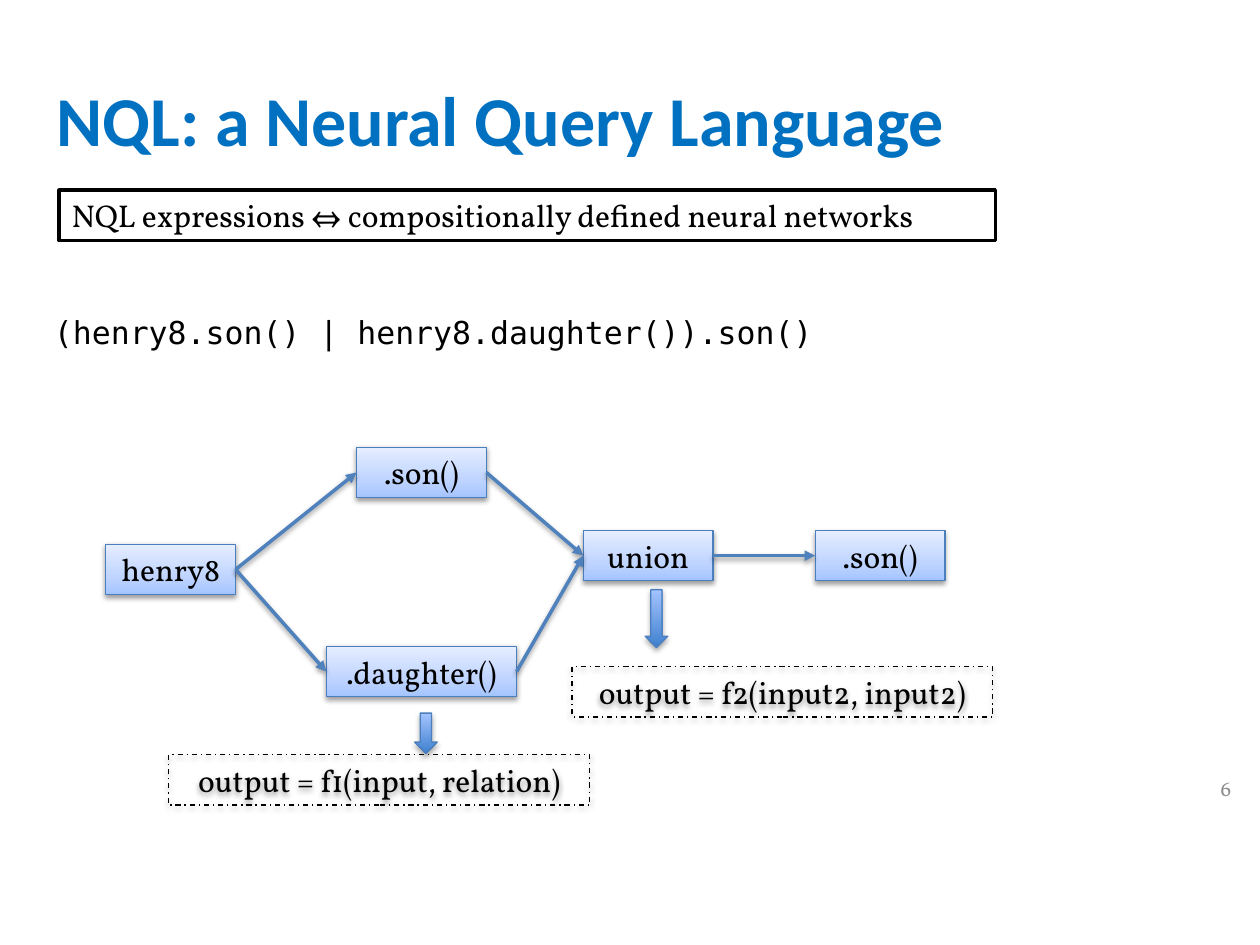
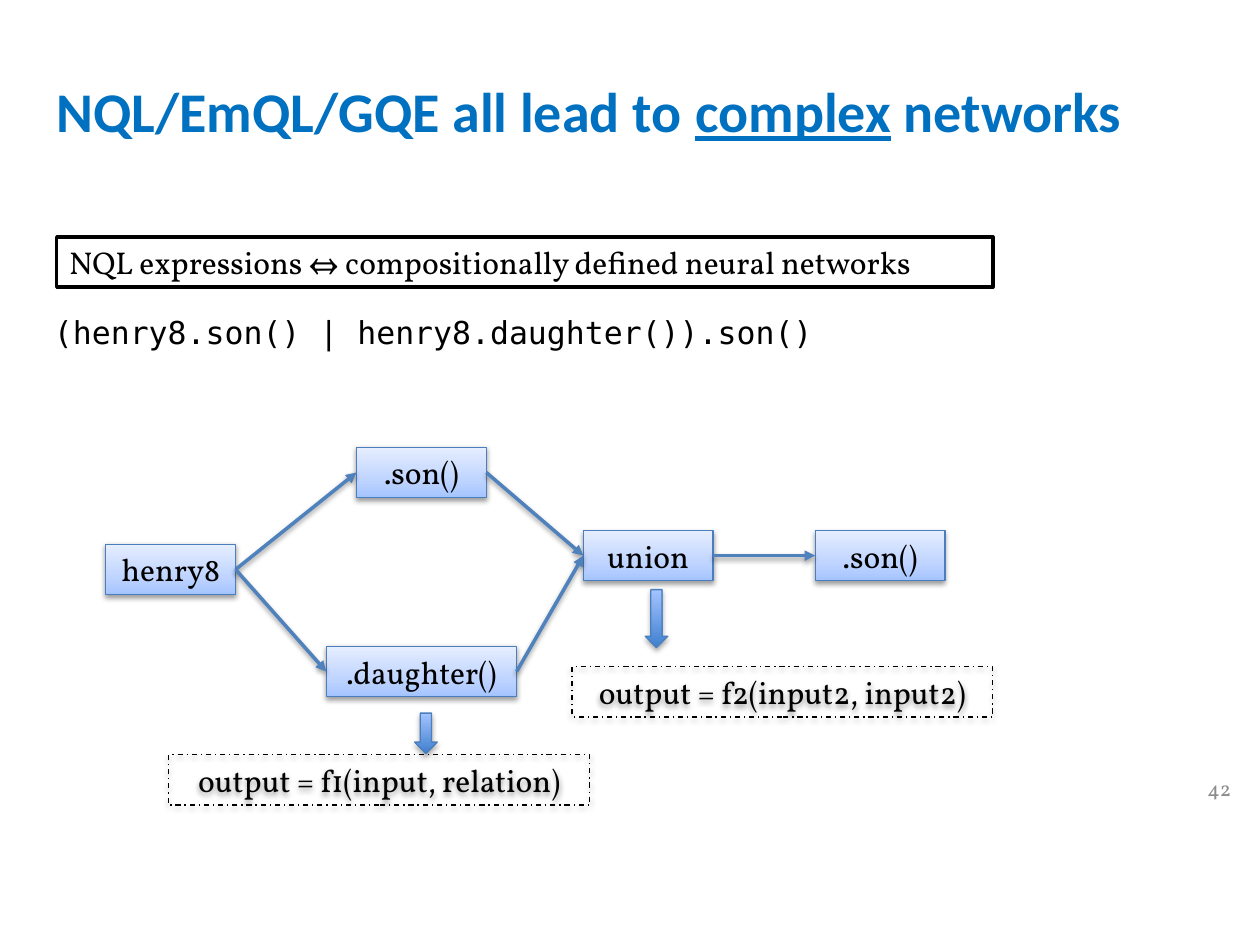
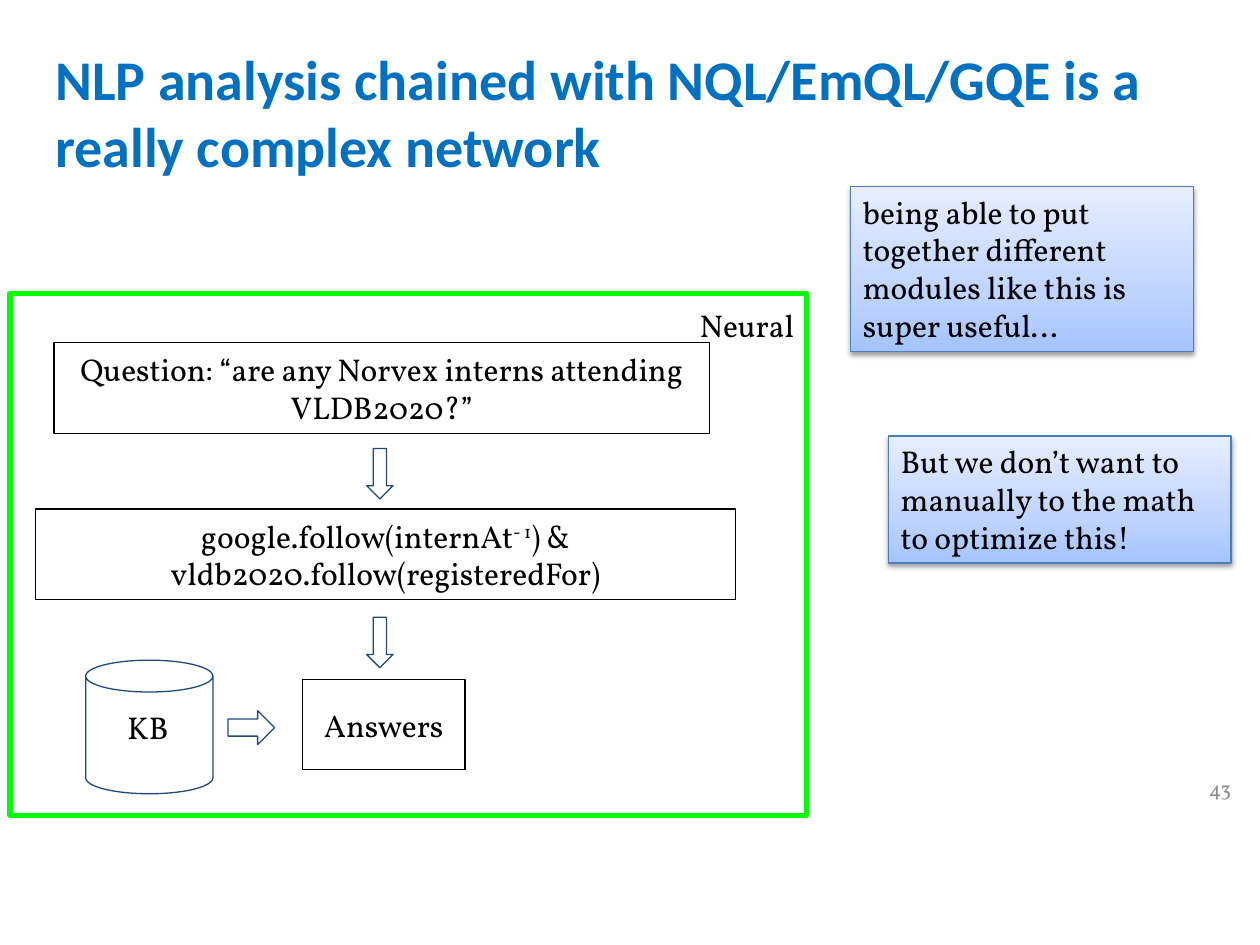
from lxml import etree
from pptx import Presentation
from pptx.dml.color import RGBColor
from pptx.enum import dml, shapes, text
from pptx.oxml.ns import qn
from pptx.util import Pt

PX = 9144  # 100 px to the inch

BLACK = RGBColor(0x00, 0x00, 0x00)
WHITE = RGBColor(0xFF, 0xFF, 0xFF)
TITLE_BLUE = RGBColor(0x00, 0x70, 0xC0)
EDGE_BLUE = RGBColor(0x4B, 0x7E, 0xBC)
LINK_BLUE = RGBColor(0x4F, 0x81, 0xBD)
NAVY = RGBColor(0x1F, 0x49, 0x7D)
GREEN = RGBColor(0x00, 0xFF, 0x00)
GREY = RGBColor(0x8C, 0x8C, 0x8C)

PALE_STOPS = [(0, "A4C4FF"), (35, "BFD4FF"), (100, "E6EEFF")]
STRONG_STOPS = [(0, "3F80CE"), (100, "A4C4FF")]

BODY, HEAD, MONO = "Vollkorn", "Calibri", "DejaVu Sans Mono"
LEFT, CENTER, RIGHT = text.PP_ALIGN.LEFT, text.PP_ALIGN.CENTER, text.PP_ALIGN.RIGHT
TOP, MIDDLE = text.MSO_ANCHOR.TOP, text.MSO_ANCHOR.MIDDLE
KINDS = shapes.MSO_SHAPE


def emu(*lengths):
    return [length * PX for length in lengths]


def add_xml(parent, tag, **attributes):
    return etree.SubElement(parent, qn(tag), {k: str(v) for k, v in attributes.items()})


def set_effects(shape, shadow=None):
    """Give the shape a soft shadow of (opacity, distance), or none at all."""
    effects = add_xml(shape._element.spPr, "a:effectLst")
    if shadow:
        opacity, distance = shadow
        outer = add_xml(effects, "a:outerShdw", blurRad=Pt(3.1), dist=Pt(distance),
                        dir=5400000, rotWithShape=0)
        color = add_xml(outer, "a:srgbClr", val="000000")
        add_xml(color, "a:alpha", val=opacity * 1000)


def set_gradient(shape, stops):
    shape.fill.gradient()
    shape.fill.gradient_angle = 90
    stop_list = shape._element.spPr.find(qn("a:gradFill")).find(qn("a:gsLst"))
    for old in list(stop_list):
        stop_list.remove(old)
    for position, color in stops:
        stop = add_xml(stop_list, "a:gs", pos=position * 1000)
        add_xml(stop, "a:srgbClr", val=color)


def add_outline(page, kind, at, color, weight=0.75, fill=None, stops=None,
                dash=None, shadow=None):
    shape = page.shapes.add_shape(kind, *emu(*at))
    if stops:
        set_gradient(shape, stops)
    elif fill is not None:
        shape.fill.solid()
        shape.fill.fore_color.rgb = fill
    else:
        shape.fill.background()
    shape.line.color.rgb = color
    shape.line.width = Pt(weight)
    if dash:
        shape.line.dash_style = dash
    set_effects(shape, shadow)
    return shape


def write(box, spans, size=18, color=BLACK, font=BODY, bold=False, align=LEFT,
          anchor=TOP, inset=10, grow=False):
    """Fill the box with one paragraph of (words, style) spans or a plain string."""
    frame = box.text_frame
    frame.word_wrap = True
    frame.vertical_anchor = anchor
    frame.margin_left = frame.margin_right = 10 * PX
    frame.margin_top, frame.margin_bottom = inset * PX, min(inset, 10) * PX
    if grow:
        frame.auto_size = text.MSO_AUTO_SIZE.SHAPE_TO_FIT_TEXT
    para = frame.paragraphs[0]
    para.alignment = align
    para.font.size, para.font.name, para.font.bold = Pt(size), font, bold
    para.font.color.rgb = color
    for words, style in [(spans, None)] if isinstance(spans, str) else spans:
        span = para.add_run()
        span.text = words
        if style == "underline":
            span.font.underline = True
        elif style == "superscript":
            span._r.get_or_add_rPr().set("baseline", "30000")


def add_text(page, at, spans, **style):
    write(page.shapes.add_textbox(*emu(*at)), spans, **style)


def add_page(deck, title, title_at, title_size, number):
    page = deck.slides.add_slide(deck.slide_layouts[6])
    add_text(page, title_at, title, size=title_size, color=TITLE_BLUE, font=HEAD, bold=True)
    add_text(page, (927, 604, 60, 43), number, size=12, color=GREY, align=RIGHT, anchor=MIDDLE)
    return page


def add_glossy_box(page, at, words, align=CENTER):
    box = add_outline(page, KINDS.RECTANGLE, at, EDGE_BLUE, stops=PALE_STOPS, shadow=(38, 1.6))
    write(box, words, align=align, inset=5, grow=True)
    return box


def add_link(page, source, target):
    """Arrow from the right side of source to the left side of target."""
    link = page.shapes.add_connector(shapes.MSO_CONNECTOR.STRAIGHT, 0, 0, 0, 0)
    link.begin_connect(source, 3)
    link.end_connect(target, 1)
    link.line.color.rgb = LINK_BLUE
    link.line.width = Pt(2)
    add_xml(link.line._get_or_add_ln(), "a:tailEnd", type="triangle")
    set_effects(link, (38, 1.6))


def add_formula(page, left, top, words):
    box = add_outline(page, KINDS.RECTANGLE, (left, top, 334, 40), BLACK,
                      dash=dml.MSO_LINE.DASH_DOT, shadow=(38, 1.6))
    write(box, words, align=CENTER, inset=5, grow=True)


def add_step(page, at, spans):
    box = add_outline(page, KINDS.RECTANGLE, at, BLACK)
    write(box, spans, align=CENTER, anchor=MIDDLE)


def add_query_network(page, claim_left, claim_top):
    add_text(page, (33, 218, 934, 112), "(henry8.son() | henry8.daughter()).son()",
             font=MONO, inset=41)

    henry, son, daughter, union, grandson = [
        add_glossy_box(page, (left, top, width, 40), words)
        for left, top, width, words in [
            (84, 432, 103, "henry8"),
            (283, 355, 103, ".son()"),
            (259, 513, 151, ".daughter()"),
            (463, 421, 103, "union"),
            (647, 421, 103, ".son()"),
        ]
    ]
    for source, target in [(henry, son), (henry, daughter), (son, union),
                           (daughter, union), (union, grandson)]:
        add_link(page, source, target)

    add_formula(page, 134, 599, "output = f1(input, relation)")
    add_formula(page, 454, 529, "output = f2(input2, input2)")
    for at in [(329, 566, 18, 32), (512, 468, 18, 46)]:
        add_outline(page, KINDS.DOWN_ARROW, at, EDGE_BLUE, stops=STRONG_STOPS, shadow=(35, 1.8))

    claim = add_outline(page, KINDS.RECTANGLE, (claim_left, claim_top, 743, 40), BLACK, 2,
                        fill=WHITE)
    write(claim, "NQL expressions ⇔ compositionally defined neural networks",
          inset=5, grow=True)


def add_answer_pipeline(page):
    frame = add_outline(page, KINDS.RECTANGLE, (8, 233, 632, 414), GREEN, 3)
    write(frame, "Neural", align=RIGHT)

    add_step(page, (43, 272, 520, 72), "Question: “are any Norvex interns attending VLDB2020?”")
    add_step(page, (28, 404, 556, 72), [
        ("google.follow(internAt", None),
        ("- 1", "superscript"),
        (") & vldb2020.follow(registeredFor)", None),
    ])
    add_step(page, (240, 539, 129, 72), "Answers")
    for top in (356, 490):
        add_outline(page, KINDS.DOWN_ARROW, (291, top, 21, 40), NAVY)

    add_outline(page, KINDS.CAN, (68, 524, 101, 106), NAVY)
    add_outline(page, KINDS.RIGHT_ARROW, (181, 564, 37, 27), NAVY)
    add_text(page, (76, 541, 83, 72), "KB", align=CENTER, anchor=MIDDLE)


def main():
    deck = Presentation()
    deck.slide_width, deck.slide_height = emu(1000, 750)

    page = add_page(deck, "NQL: a Neural Query Language", (35, 51, 932, 63), 40, "6")
    add_query_network(page, 47, 151)

    title = [("NQL/EmQL/GQE all lead to ", None), ("complex", "underline"), (" networks", None)]
    page = add_page(deck, title, (35, 51, 932, 63), 32, "42")
    add_query_network(page, 45, 188)

    page = add_page(deck, "NLP analysis chained with NQL/EmQL/GQE is a really complex network",
                    (34, 25, 932, 148), 32, "43")
    add_answer_pipeline(page)
    add_glossy_box(page, (705, 346, 272, 101),
                   "But we don’t want to manually to the math to optimize this!", LEFT)
    add_glossy_box(page, (675, 148, 272, 131),
                   "being able to put together different modules like this is super useful…", LEFT)

    deck.save("out.pptx")


if __name__ == "__main__":
    main()
